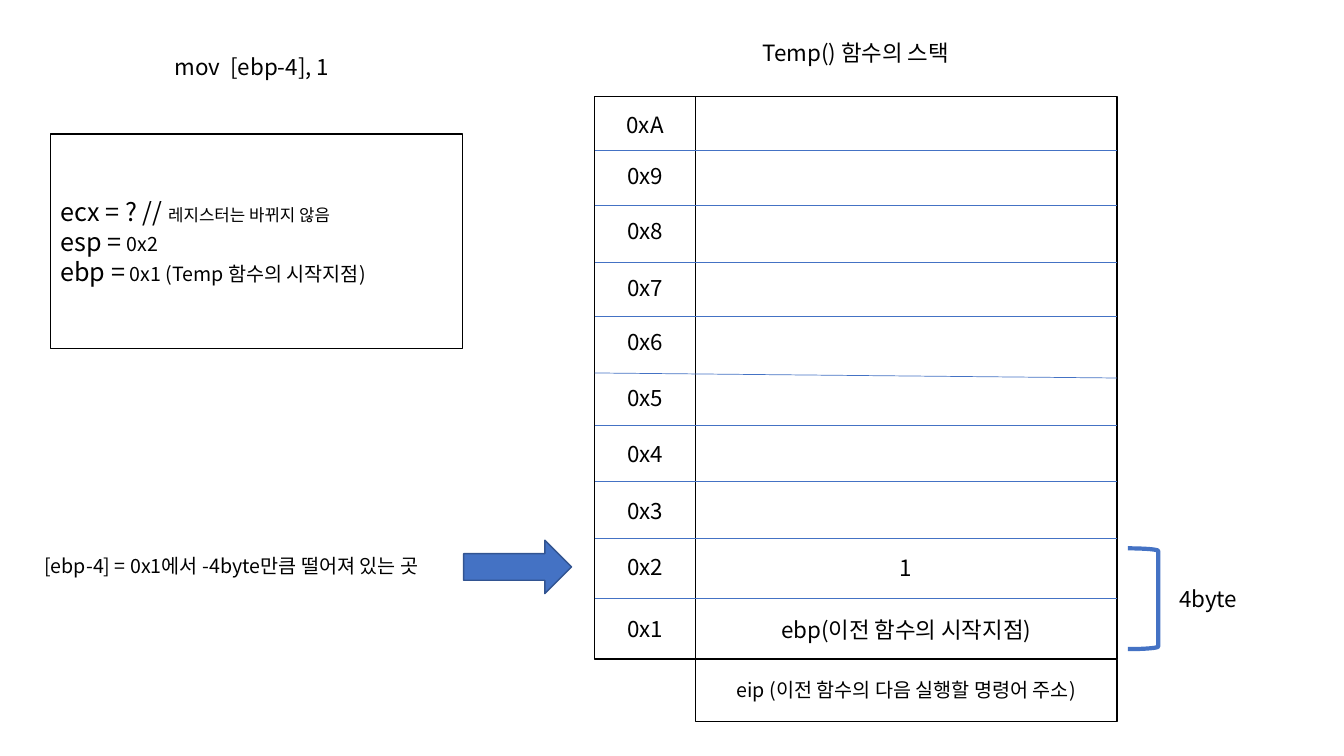
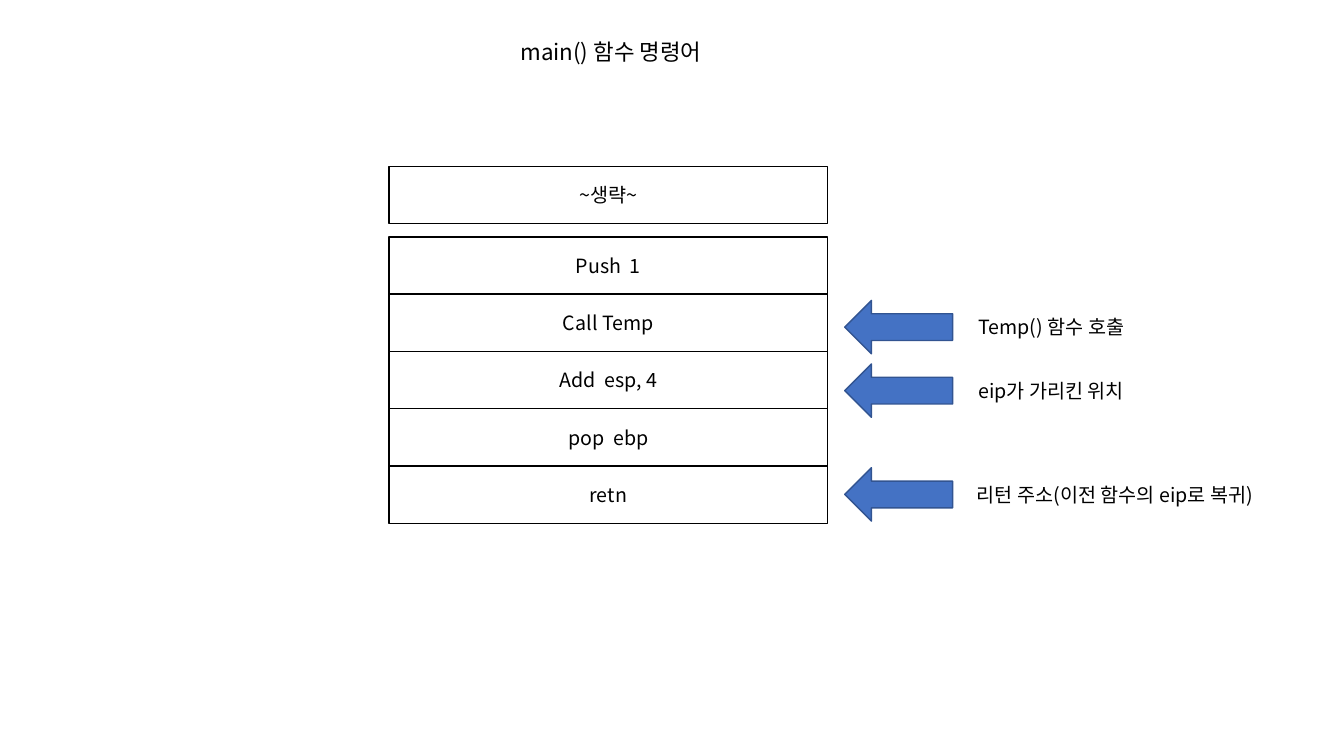
from dataclasses import dataclass

from lxml.etree import SubElement
from pptx import Presentation
from pptx.dml.color import RGBColor as Color
from pptx.enum.shapes import MSO_CONNECTOR as Connector, MSO_SHAPE as Preset
from pptx.enum.text import MSO_ANCHOR as Anchor, MSO_AUTO_SIZE as AutoSize, PP_ALIGN as Align
from pptx.oxml.ns import qn
from pptx.util import Inches, Pt


@dataclass(frozen=True)
class Theme:
    """Colours, type sizes, line widths and the grid cell."""
    font: str = "Noto Sans CJK KR"
    ink: Color = Color(0x00, 0x00, 0x00)
    accent: Color = Color(0x44, 0x72, 0xC4)
    accent_edge: Color = Color(0x32, 0x54, 0x91)
    register: int = 18
    heading: int = 16
    body: int = 14
    note: int = 12
    hair: float = 0.5
    thin: float = 1
    thick: float = 3
    cell: float = 0.1  # inches per grid column and row
    columns: float = 133.33
    rows: float = 75


class Sketch:
    """Draws elements on the current slide, with lengths in grid cells."""

    def __init__(self, deck, theme):
        """Keep the deck and theme, and set the slide size."""
        self.deck, self.theme, self.page = deck, theme, None
        deck.slide_width, deck.slide_height = self.cells(theme.columns, theme.rows)

    def cells(self, *counts):
        """Turn counts of grid cells into lengths."""
        return [Inches(count * self.theme.cell) for count in counts]

    def new_page(self):
        """Start a blank slide."""
        self.page = self.deck.slides.add_slide(self.deck.slide_layouts[6])

    def add_lines(self, frame, lines, align):
        """Fill a frame; each line is a list of (text, size) runs."""
        frame.word_wrap = True
        for index, runs in enumerate(lines):
            para = frame.add_paragraph() if index else frame.paragraphs[0]
            para.alignment = align
            for text, size in runs:
                span = para.add_run()
                span.text = text
                span.font.size = Pt(size)
                span.font.color.rgb = self.theme.ink
                span.font.name = self.theme.font
                east_asian = SubElement(span.font._element, qn("a:ea"))
                east_asian.set("typeface", self.theme.font)

    def caption(self, left, top, width, text, size=None):
        """Add one centred line of free text."""
        size = size or self.theme.heading
        height = 3.7 if size == self.theme.heading else 3.4
        box = self.page.shapes.add_textbox(*self.cells(left, top, width, height))
        frame = box.text_frame
        frame.margin_left = frame.margin_right = 0
        self.add_lines(frame, [[(text, size)]], Align.CENTER)
        frame.auto_size = AutoSize.SHAPE_TO_FIT_TEXT

    def shape(self, preset, area, line, width, fill=None):
        """Add a preset shape without shadow."""
        shape = self.page.shapes.add_shape(preset, *self.cells(*area))
        shape.shadow.inherit = False
        if fill is None:
            shape.fill.background()
        else:
            shape.fill.solid()
            shape.fill.fore_color.rgb = fill
        shape.line.color.rgb = line
        shape.line.width = Pt(width)
        return shape

    def frame(self, *area, lines=(), align=Align.CENTER):
        """Add an outlined box with optional text."""
        box = self.shape(Preset.RECTANGLE, area, self.theme.ink, self.theme.thin)
        box.text_frame.vertical_anchor = Anchor.MIDDLE
        self.add_lines(box.text_frame, lines, align)

    def arrow(self, left, top, rotation=0):
        """Add a block arrow of the common size."""
        arrow = self.shape(Preset.RIGHT_ARROW, (left, top, 10.7, 5.3),
                           self.theme.accent_edge, self.theme.thin, self.theme.accent)
        arrow.rotation = rotation

    def bracket(self, *area):
        """Add a right bracket."""
        self.shape(Preset.RIGHT_BRACKET, area, self.theme.accent, self.theme.thick)

    def rule(self, left, start, right, end):
        """Add a thin dividing line."""
        line = self.page.shapes.add_connector(
            Connector.STRAIGHT, *self.cells(left, start, right, end))
        line.line.color.rgb = self.theme.accent
        line.line.width = Pt(self.theme.hair)
        SubElement(line._element.spPr, qn("a:effectLst"))


def stack_page(sketch):
    """Draw the registers and the stack of Temp()."""
    theme = sketch.theme
    sketch.new_page()
    registers = [
        [("ecx = ? // ", theme.register), ("레지스터는 바뀌지 않음", theme.note)],
        [("esp = ", theme.register), ("0x2", theme.body)],
        [("ebp =", theme.register), (" 0x1 (Temp 함수의 시작지점)", theme.body)],
    ]
    sketch.frame(5, 13.3, 40.9, 21.3, lines=registers, align=Align.LEFT)
    sketch.caption(5, 4.8, 40, "mov  [ebp-4], 1")

    left, middle, right = 59, 69, 110.8
    top, bottom = 9.6, 65.4
    address_width, value_width = middle - left, right - middle
    sketch.frame(middle, top, value_width, bottom - top)
    sketch.frame(left, top, address_width, bottom - top)
    # The left and right heights of each divider
    for start, end in ((59.4, 59.4), (53.4, 53.4), (47.8, 47.8), (42.2, 42.2), (37, 37.5),
                       (31.4, 31.4), (26, 26), (20.4, 20.4), (14.9, 14.9)):
        sketch.rule(left, start, right, end)
    label_tops = (60.5, 54.4, 48.8, 43.2, 37.6, 32.1, 26.7, 21.1, 15.6, 10.5)
    for address, label_top in enumerate(label_tops, start=1):
        sketch.caption(left, label_top, address_width, f"0x{address:X}")

    value_left = middle + 0.9
    sketch.caption(value_left, 60.6, 40, "ebp(이전 함수의 시작지점)")
    sketch.caption(64.9, 3.4, 40, "Temp() 함수의 스택")
    sketch.caption(value_left, 54.5, 40, "1")
    sketch.arrow(46, 53.6)
    sketch.caption(0.9, 54.5, 44.1, "[ebp-4] = 0x1에서 -4byte만큼 떨어져 있는 곳", theme.body)
    sketch.bracket(111.9, 54.4, 3, 10)
    sketch.caption(113.9, 57.6, 11.9, "4byte")
    sketch.frame(middle, bottom, value_width, 6.2)
    sketch.caption(value_left, 66.8, 40, "eip (이전 함수의 다음 실행할 명령어 주소)", theme.body)


def commands_page(sketch):
    """Draw the instructions of main() with their remarks."""
    theme = sketch.theme
    sketch.new_page()
    sketch.caption(40.6, 3.3, 40, "main() 함수 명령어")
    left, width, height, pitch = 38.6, 43.5, 5.7, 5.68
    commands = ("Push  1", "Call Temp", "Add  esp, 4", "pop  ebp", "retn")
    tops = [23.5 + index * pitch for index in range(len(commands))]
    for top, command in zip([16.5] + tops, ("~생략~",) + commands):
        sketch.frame(left, top, width, height, lines=[[(command, theme.body)]])
    remarks = (
        (46.4, 32.2, "리턴 주소(이전 함수의 eip로 복귀)"),
        (29.8, 19.6, "Temp() 함수 호출"),
        (36.1, 19.6, "eip가 가리킨 위치"),
    )
    for top, remark_width, remark in remarks:
        sketch.arrow(83.8, top, rotation=180)
        sketch.caption(94.5, top + 1, remark_width, remark, theme.body)


deck = Presentation()
sketch = Sketch(deck, Theme())
stack_page(sketch)
commands_page(sketch)
deck.save("out.pptx")
